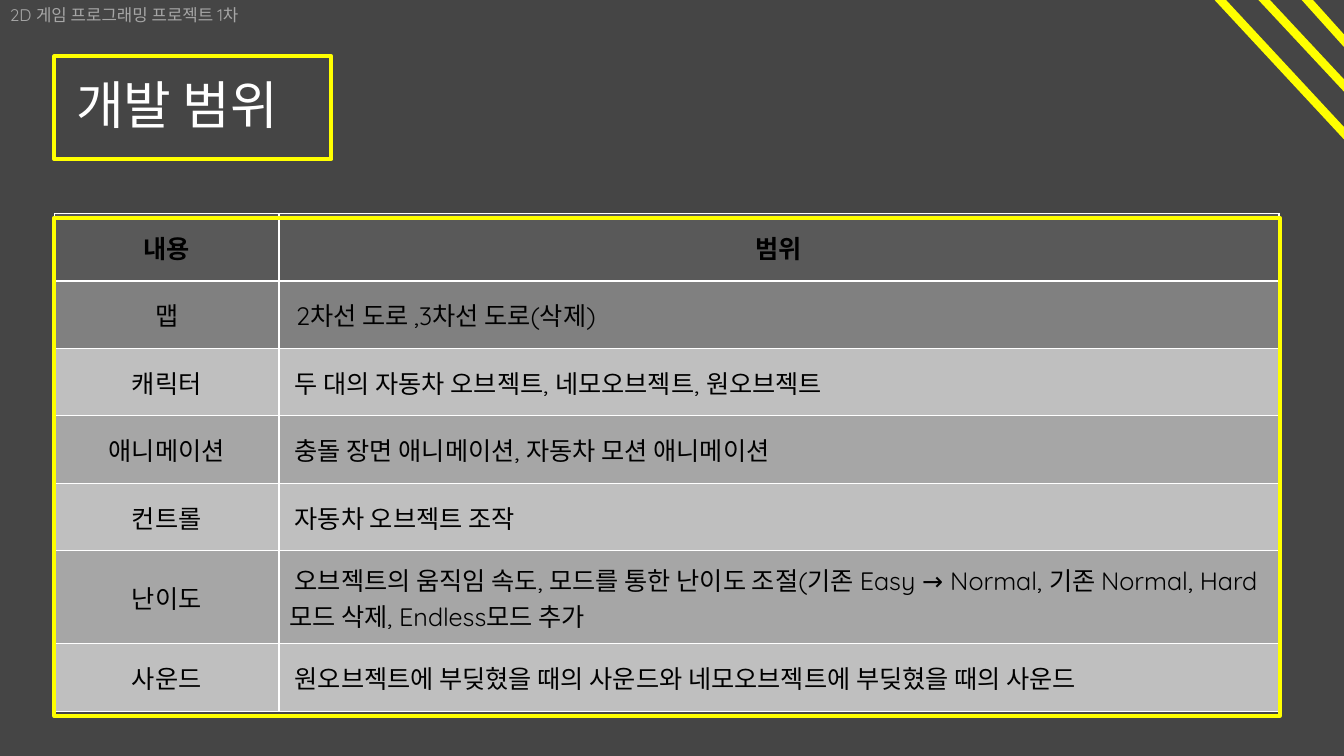
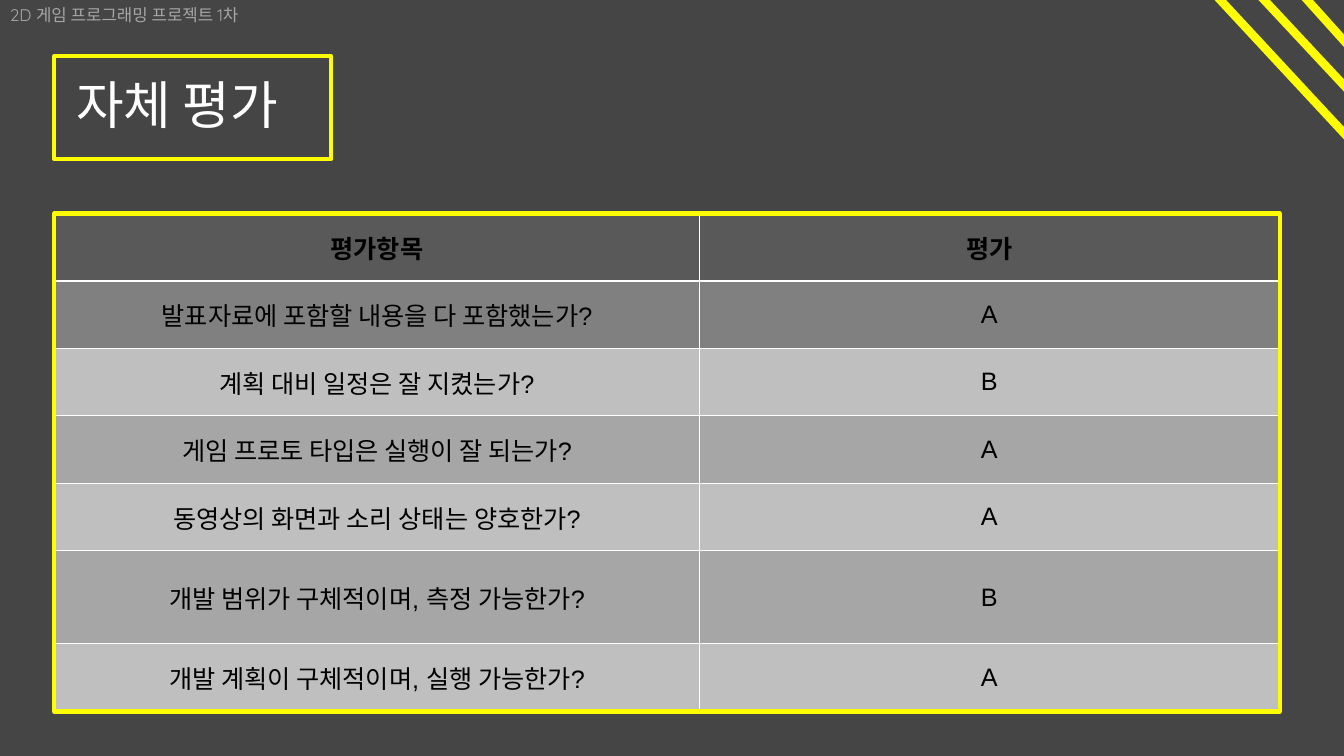
from lxml.etree import SubElement
from pptx import Presentation
from pptx.dml.color import RGBColor
from pptx.enum.shapes import MSO_CONNECTOR, MSO_SHAPE
from pptx.enum.text import MSO_ANCHOR, MSO_AUTO_SIZE, PP_ALIGN
from pptx.oxml.ns import qn
from pptx.util import Cm, Pt

COLORS = {
    "background": "454545",
    "accent": "FFFF00",
    "title": "FFFFFF",
    "caption": "A6A6A6",
    "text": "000000",
    "border": "FFFFFF",
    "header": "595959",
    "first": "808080",
    "light": "BFBFBF",
    "medium": "A6A6A6",
}
FONT = "Quicksand"
CAPTION = "2D 게임 프로그래밍 프로젝트 1차"
SLIDES = [
    {
        "title": " 개발 범위",
        "columns": (5.66, 25.2),
        "body_font": FONT,
        "body_align": PP_ALIGN.LEFT,
        "frame_top": 5.49,
        "rows": [
            ("내용", "범위"),
            ("맵", " 2차선 도로 ,3차선 도로(삭제)"),
            ("캐릭터", " 두 대의 자동차 오브젝트, 네모오브젝트, 원오브젝트"),
            ("애니메이션", " 충돌 장면 애니메이션, 자동차 모션 애니메이션"),
            ("컨트롤", " 자동차 오브젝트 조작"),
            ("난이도", " 오브젝트의 움직임 속도, 모드를 통한 난이도 조절(기존 Easy → Normal, "
                     "기존 Normal, Hard모드 삭제, Endless모드 추가"),
            ("사운드", " 원오브젝트에 부딪혔을 때의 사운드와 네모오브젝트에 부딪혔을 때의 사운드"),
        ],
    },
    {
        "title": " 자체 평가",
        "columns": (16.26, 14.6),
        "body_font": "Arial",
        "body_align": PP_ALIGN.CENTER,
        "frame_top": 5.38,
        "rows": [
            ("평가항목", "평가"),
            ("발표자료에 포함할 내용을 다 포함했는가?", "A"),
            ("계획 대비 일정은 잘 지켰는가?", "B"),
            ("게임 프로토 타입은 실행이 잘 되는가?", "A"),
            ("동영상의 화면과 소리 상태는 양호한가?", "A"),
            ("개발 범위가 구체적이며, 측정 가능한가?", "B"),
            ("개발 계획이 구체적이며, 실행 가능한가?", "A"),
        ],
    },
]
LEFT, TABLE_TOP = 1.37, 5.38
FRAME_WIDTH, TABLE_HEIGHT = 30.88, 12.55
ROW_HEIGHTS = [1.7] * 5 + [2.34, 1.7]
ROW_FILLS = ["header", "first"] + ["light", "medium"] * 2 + ["light"]
STRIPES = [
    (28.96, -1.93, 37.57, 7.34),
    (30.15, -1.83, 36.37, 4.83),
    (32.03, -1.02, 35.69, 3.05),
]


def color(name):
    return RGBColor.from_string(COLORS[name])


def style_line(shape, width):
    shape.line.color.rgb = color("accent")
    shape.line.width = Pt(width)


def style_font(paragraph, size, color_name, name=FONT, bold=False):
    font = paragraph.font
    font.name, font.size, font.bold = name, Pt(size), bold
    font.color.rgb = color(color_name)


def add_title(slide, text):
    title = slide.shapes.title
    title.left, title.top, title.width, title.height = Cm(LEFT), Cm(1.42), Cm(6.98), Cm(2.59)
    style_line(title, 3)
    frame = title.text_frame
    frame.text = text
    frame.auto_size = MSO_AUTO_SIZE.NONE
    frame.vertical_anchor = MSO_ANCHOR.MIDDLE
    paragraph = frame.paragraphs[0]
    paragraph.alignment = PP_ALIGN.LEFT
    paragraph.line_spacing = 0.9
    style_font(paragraph, 37, "title")


def add_caption(slide):
    frame = slide.shapes.add_textbox(0, 0, Cm(6.91), Cm(0.76)).text_frame
    frame.word_wrap = False
    frame.text = CAPTION
    style_font(frame.paragraphs[0], 12, "caption")


def set_borders(cell):
    properties = cell._tc.get_or_add_tcPr()
    for side in ("lnL", "lnR", "lnT", "lnB"):
        border = SubElement(properties, qn(f"a:{side}"), w=str(Pt(1)))
        fill = SubElement(border, qn("a:solidFill"))
        SubElement(fill, qn("a:srgbClr"), val=COLORS["border"])


def add_content_table(slide, content):
    rows, columns = content["rows"], content["columns"]
    table = slide.shapes.add_table(
        len(rows), len(columns), Cm(LEFT), Cm(TABLE_TOP), Cm(sum(columns)), Cm(TABLE_HEIGHT)
    ).table
    table.first_row = table.horz_banding = False
    for column, width in zip(table.columns, columns):
        column.width = Cm(width)
    for row_index, (row, height) in enumerate(zip(table.rows, ROW_HEIGHTS)):
        row.height = Cm(height)
        is_header = row_index == 0
        for column_index, cell in enumerate(row.cells):
            cell.text = rows[row_index][column_index]
            cell.vertical_anchor = MSO_ANCHOR.MIDDLE
            set_borders(cell)
            cell.fill.solid()
            cell.fill.fore_color.rgb = color(ROW_FILLS[row_index])
            paragraph = cell.text_frame.paragraphs[0]
            is_centered = is_header or column_index == 0
            paragraph.alignment = PP_ALIGN.CENTER if is_centered else content["body_align"]
            style_font(paragraph, 18, "text", FONT if is_header else content["body_font"], is_header)


def add_table_frame(slide, top):
    frame = slide.shapes.add_shape(
        MSO_SHAPE.RECTANGLE, Cm(LEFT), Cm(top), Cm(FRAME_WIDTH), Cm(TABLE_HEIGHT)
    )
    frame.shadow.inherit = False
    frame.fill.background()
    style_line(frame, 3)


def add_stripes(slide):
    for ends in STRIPES:
        stripe = slide.shapes.add_connector(MSO_CONNECTOR.STRAIGHT, *map(Cm, ends))
        style_line(stripe, 6)
        SubElement(stripe._element.spPr, qn("a:effectLst"))


def main():
    presentation = Presentation()
    presentation.slide_width, presentation.slide_height = Cm(33.87), Cm(19.05)
    background = presentation.slide_master.background.fill
    background.solid()
    background.fore_color.rgb = color("background")
    for content in SLIDES:
        slide = presentation.slides.add_slide(presentation.slide_layouts[5])
        add_title(slide, content["title"])
        add_caption(slide)
        add_content_table(slide, content)
        add_table_frame(slide, content["frame_top"])
        add_stripes(slide)
    presentation.save("out.pptx")


if __name__ == "__main__":
    main()
